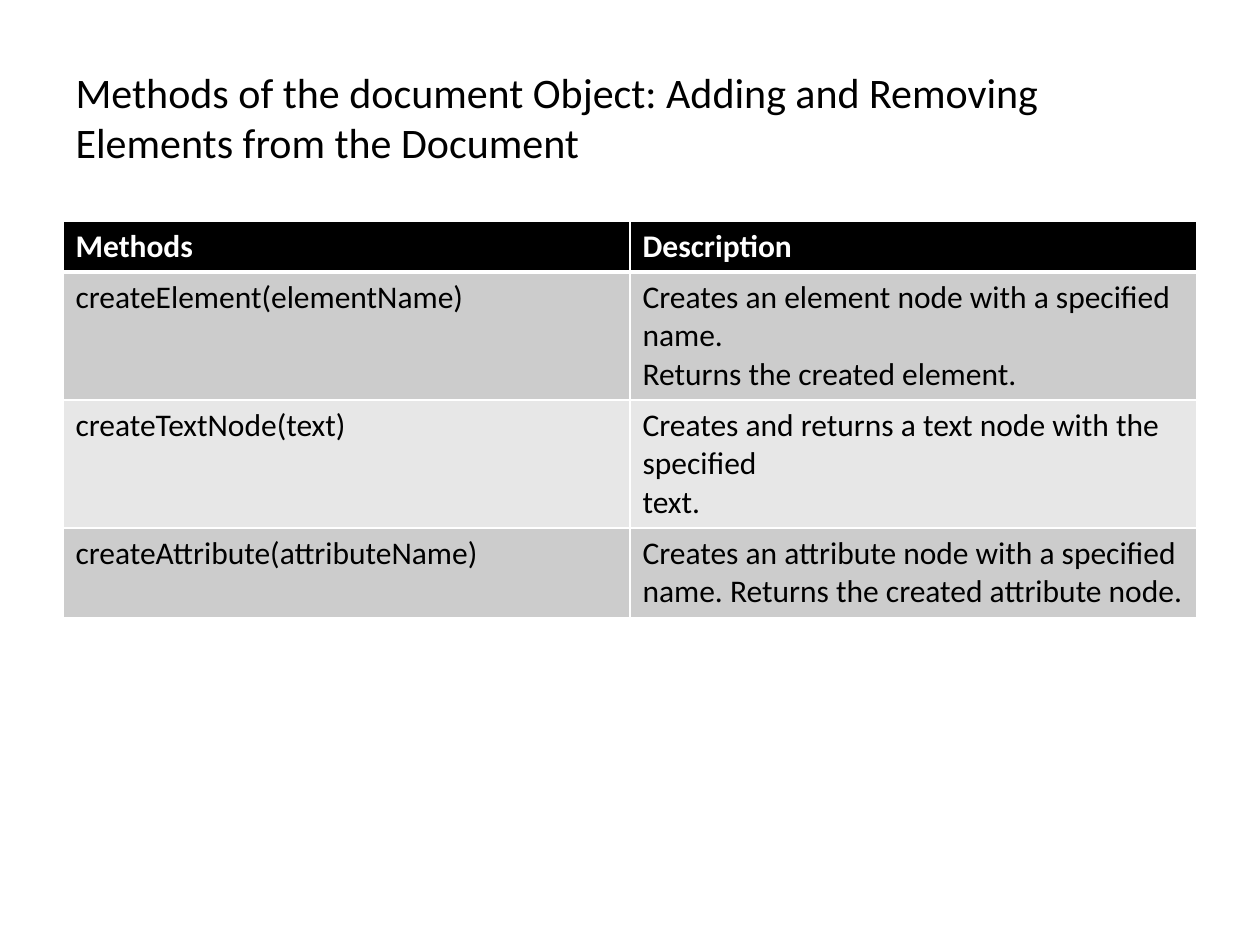
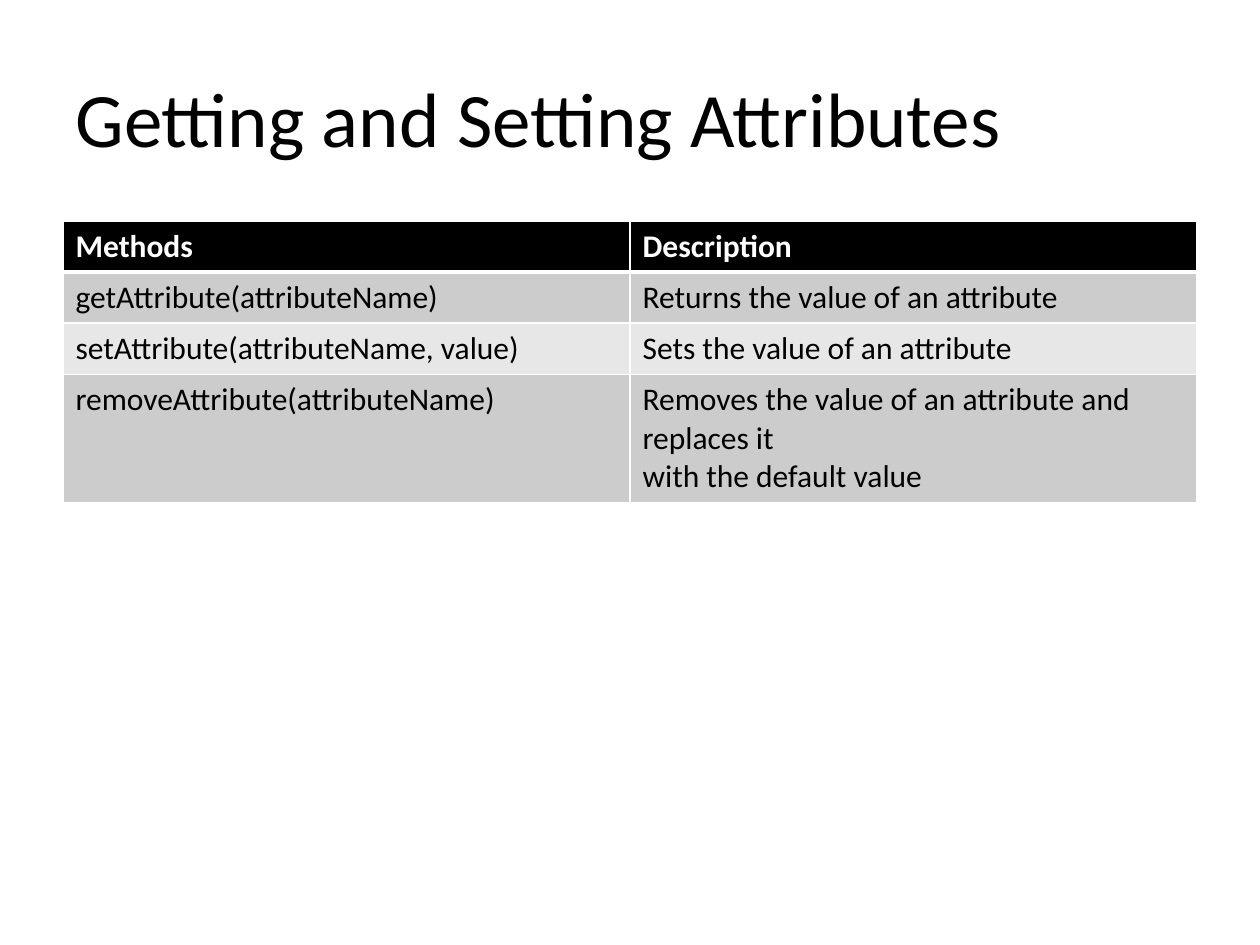
"""Build two slides with tables of DOM document and attribute methods."""
from lxml import etree
from pptx import Presentation
from pptx.dml.color import RGBColor
from pptx.enum.text import MSO_ANCHOR, MSO_AUTO_SIZE, PP_ALIGN
from pptx.oxml.ns import qn
from pptx.util import Emu, Pt

HEADER = ("Methods", "Description")
SLIDES = [
    {
        "title": "Methods of the document Object: Adding and Removing "
                 "Elements from the Document",
        "title_size": 24,
        "rows": [
            ("createElement(elementName)",
             "Creates an element node with a specified name.\n"
             "Returns the created element."),
            ("createTextNode(text)",
             "Creates and returns a text node with the specified\ntext."),
            ("createAttribute(attributeName)",
             "Creates an attribute node with a specified\n"
             "name. Returns the created attribute node."),
        ],
        "line_counts": [1, 3, 3, 2],
    },
    {
        "title": "Getting and Setting Attributes",
        "title_size": 44,
        "rows": [
            ("getAttribute(attributeName)", "Returns the value of an attribute"),
            ("setAttribute(attributeName, value)", "Sets the value of an attribute"),
            ("removeAttribute(attributeName)",
             "Removes the value of an attribute and replaces it\n"
             "with the default value"),
        ],
        "line_counts": [1, 1, 1, 3],
    },
]

FONT = "Calibri"
BLACK = RGBColor(0x00, 0x00, 0x00)
WHITE = RGBColor(0xFF, 0xFF, 0xFF)
BANDS = (RGBColor(0xE7, 0xE7, 0xE7), RGBColor(0xCC, 0xCC, 0xCC))
LEFT = PP_ALIGN.LEFT
MIDDLE = MSO_ANCHOR.MIDDLE
NO_AUTOFIT = MSO_AUTO_SIZE.NONE
TITLE_ONLY = 5

PX_PER_INCH = 126
SLIDE_WIDTH, SLIDE_HEIGHT = 1260, 945
MARGIN = 63
CONTENT_WIDTH = SLIDE_WIDTH - 2 * MARGIN
TITLE_TOP, TITLE_HEIGHT = 38, 158
TABLE_TOP = 221
CELL_PADDING, LINE_HEIGHT = 13, 38
TEXT_SIZE = 18
THIN, THICK = 1, 3


def px(length):
    return Emu(round(length * 914400 / PX_PER_INCH))


def set_font(paragraph, size, color, bold=False):
    font = paragraph.font
    font.name, font.size, font.bold = FONT, Pt(size), bold
    font.color.rgb = color


def add_title(slide, text, size):
    title = slide.shapes.title
    title.left, title.top = px(MARGIN), px(TITLE_TOP)
    title.width, title.height = px(CONTENT_WIDTH), px(TITLE_HEIGHT)
    frame = title.text_frame
    frame.text = text
    frame.word_wrap = True
    frame.auto_size = NO_AUTOFIT
    frame.vertical_anchor = MIDDLE
    paragraph = frame.paragraphs[0]
    paragraph.alignment = LEFT
    set_font(paragraph, size, BLACK)


def set_borders(cell, top, bottom):
    properties = cell._tc.get_or_add_tcPr()
    for side, width in (("L", THIN), ("R", THIN), ("T", top), ("B", bottom)):
        line = etree.SubElement(properties, qn(f"a:ln{side}"), w=str(Pt(width)))
        fill = etree.SubElement(line, qn("a:solidFill"))
        etree.SubElement(fill, qn("a:srgbClr"), val=str(WHITE))


def format_cell(cell, text, row_index):
    is_header = row_index == 0
    set_borders(cell, THICK if row_index == 1 else THIN,
                THICK if is_header else THIN)
    cell.fill.solid()
    cell.fill.fore_color.rgb = BLACK if is_header else BANDS[row_index % 2]
    cell.text_frame.text = text
    for paragraph in cell.text_frame.paragraphs:
        set_font(paragraph, TEXT_SIZE, WHITE if is_header else BLACK, is_header)


def add_method_table(slide, rows, line_counts):
    heights = [CELL_PADDING + LINE_HEIGHT * count for count in line_counts]
    table = slide.shapes.add_table(
        len(rows), len(HEADER), px(MARGIN), px(TABLE_TOP),
        px(CONTENT_WIDTH), px(sum(heights))).table
    for row_index, (texts, height) in enumerate(zip(rows, heights)):
        table.rows[row_index].height = px(height)
        for column_index, text in enumerate(texts):
            format_cell(table.cell(row_index, column_index), text, row_index)


def main():
    presentation = Presentation()
    presentation.slide_width = px(SLIDE_WIDTH)
    presentation.slide_height = px(SLIDE_HEIGHT)
    for content in SLIDES:
        slide = presentation.slides.add_slide(presentation.slide_layouts[TITLE_ONLY])
        add_title(slide, content["title"], content["title_size"])
        add_method_table(slide, [HEADER, *content["rows"]], content["line_counts"])
    presentation.save("out.pptx")


if __name__ == "__main__":
    main()
